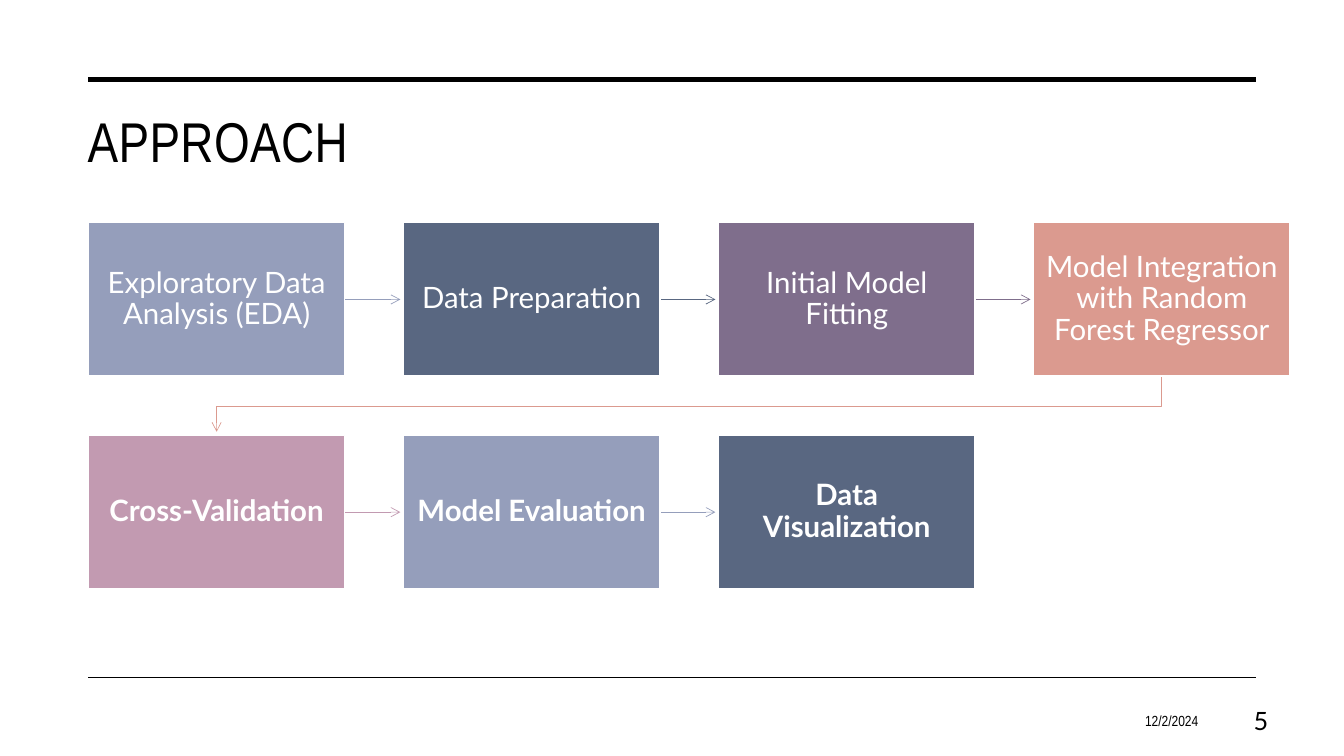
"""Build the Approach slide: a seven-step process flow in two rows."""
import pptx
import pptx.dml.color
import pptx.enum.shapes
import pptx.enum.text
import pptx.oxml
import pptx.oxml.ns
import pptx.util

Cm = pptx.util.Cm
Pt = pptx.util.Pt
RGBColor = pptx.dml.color.RGBColor
ALIGN = pptx.enum.text.PP_ALIGN
ANCHOR = pptx.enum.text.MSO_ANCHOR
STRAIGHT = pptx.enum.shapes.MSO_CONNECTOR.STRAIGHT

BLACK = RGBColor(0x00, 0x00, 0x00)
WHITE = RGBColor(0xFF, 0xFF, 0xFF)
PERIWINKLE = RGBColor(0x95, 0x9E, 0xBB)
SLATE = RGBColor(0x59, 0x67, 0x81)
PLUM = RGBColor(0x7F, 0x6E, 0x8C)
CORAL = RGBColor(0xDB, 0x9A, 0x8F)
MAUVE = RGBColor(0xC2, 0x9A, 0xB1)

COLUMNS = 4
BOX_LEFT, BOX_TOP = 2.23, 5.61
BOX_WIDTH, BOX_HEIGHT = 6.46, 3.87
COLUMN_PITCH, ROW_PITCH = 7.94, 5.36
ARROW_LENGTH = 1.4

presentation = pptx.Presentation()
presentation.slide_width = Cm(33.87)
presentation.slide_height = Cm(19.05)
slide = presentation.slides.add_slide(presentation.slide_layouts[6])


def write_text(shape, text, font, size, color, alignment, anchor):
    """Fill a shape with one formatted paragraph and return that paragraph."""
    frame = shape.text_frame
    frame.text = text
    frame.word_wrap = True
    frame.vertical_anchor = anchor
    paragraph = frame.paragraphs[0]
    paragraph.alignment = alignment
    run_font = paragraph.runs[0].font
    run_font.name = font
    run_font.size = Pt(size)
    run_font.color.rgb = color
    return paragraph


def style_line(shape, color, width, arrow=False):
    """Set a line's colour and width, drop its shadow and add an arrowhead."""
    shape.line.color.rgb = color
    shape.line.width = Pt(width)
    properties = shape._element.spPr
    if arrow:
        tail = pptx.oxml.parse_xml(f'<a:tailEnd {pptx.oxml.ns.nsdecls("a")} type="arrow"/>')
        properties.find(pptx.oxml.ns.qn("a:ln")).append(tail)
    if properties.find(pptx.oxml.ns.qn("a:effectLst")) is None:
        properties.append(pptx.oxml.parse_xml(f'<a:effectLst {pptx.oxml.ns.nsdecls("a")}/>'))


for rule_y, rule_width in [(2.01, 3.5), (17.07, 1)]:
    rule = slide.shapes.add_connector(STRAIGHT, Cm(2.23), Cm(rule_y), Cm(31.65), Cm(rule_y))
    style_line(rule, BLACK, rule_width)

title = slide.shapes.add_textbox(Cm(1.96), Cm(2.57), Cm(29.69), Cm(3.81))
title_paragraph = write_text(title, "APPROACH", "Arial Narrow", 40, BLACK, ALIGN.LEFT, ANCHOR.TOP)
title_paragraph.runs[0].font._element.set("spc", "30")

for text, left, width, font, size in [
    ("12/2/2024", 23.24, 7.21, "Arial Narrow", 10.5),
    ("5", 30.33, 1.88, "Lato", 18),
]:
    footer = slide.shapes.add_textbox(Cm(left), Cm(17.65), Cm(width), Cm(1.02))
    write_text(footer, text, font, size, BLACK, ALIGN.RIGHT, ANCHOR.MIDDLE)

steps = [
    ("Exploratory Data Analysis (EDA)", PERIWINKLE),
    ("Data Preparation", SLATE),
    ("Initial Model Fitting", PLUM),
    ("Model Integration with Random Forest Regressor", CORAL),
    ("Cross-Validation", MAUVE),
    ("Model Evaluation", PERIWINKLE),
    ("Data Visualization", SLATE),
]
for index, (step, color) in enumerate(steps):
    row, column = divmod(index, COLUMNS)
    left = BOX_LEFT + column * COLUMN_PITCH
    top = BOX_TOP + row * ROW_PITCH
    right, bottom = left + BOX_WIDTH, top + BOX_HEIGHT

    if column == COLUMNS - 1:
        start_x, end_x = left + BOX_WIDTH / 2, BOX_LEFT + BOX_WIDTH / 2
        turn_y = bottom + 0.76
        builder = slide.shapes.build_freeform(Cm(start_x), Cm(bottom))
        corners = [(start_x, turn_y), (end_x, turn_y), (end_x, bottom + ARROW_LENGTH)]
        builder.add_line_segments([(Cm(x), Cm(y)) for x, y in corners], close=False)
        row_link = builder.convert_to_shape()
        row_link.fill.background()
        style_line(row_link, color, 0.5, arrow=True)
    elif index < len(steps) - 1:
        middle = top + BOX_HEIGHT / 2
        arrow = slide.shapes.add_connector(
            STRAIGHT, Cm(right), Cm(middle), Cm(right + ARROW_LENGTH), Cm(middle))
        style_line(arrow, color, 0.5, arrow=True)

    box = slide.shapes.add_shape(
        pptx.enum.shapes.MSO_SHAPE.RECTANGLE, Cm(left), Cm(top), Cm(BOX_WIDTH), Cm(BOX_HEIGHT))
    box.shadow.inherit = False
    box.fill.solid()
    box.fill.fore_color.rgb = color
    style_line(box, WHITE, 1)
    frame = box.text_frame
    frame.margin_left = frame.margin_right = Cm(0.3)
    frame.margin_top = frame.margin_bottom = Cm(0.33)
    paragraph = write_text(box, step, "Lato", 21, WHITE, ALIGN.CENTER, ANCHOR.MIDDLE)
    paragraph.line_spacing = 0.9
    paragraph.runs[0].font.bold = row == 1

presentation.save("out.pptx")
